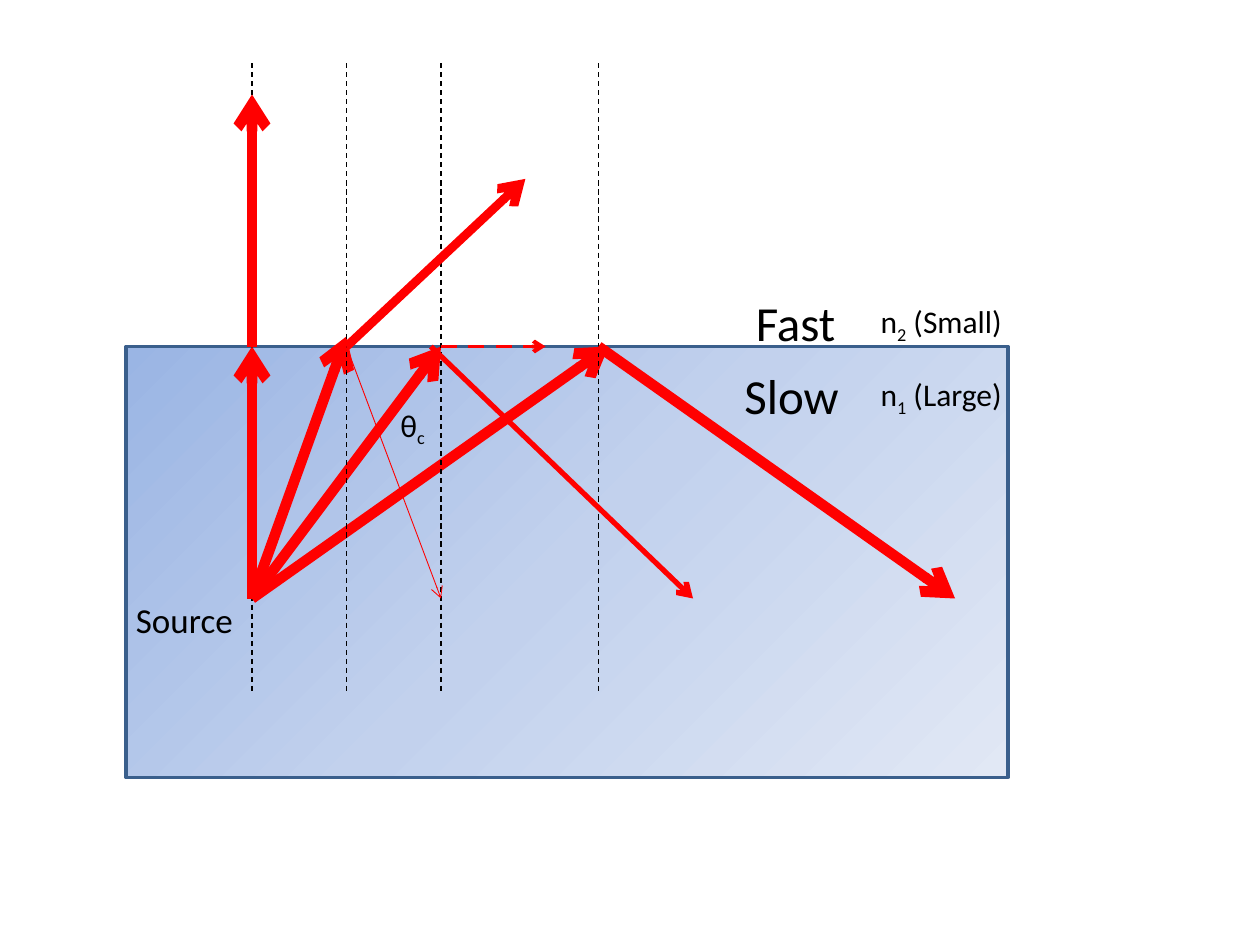
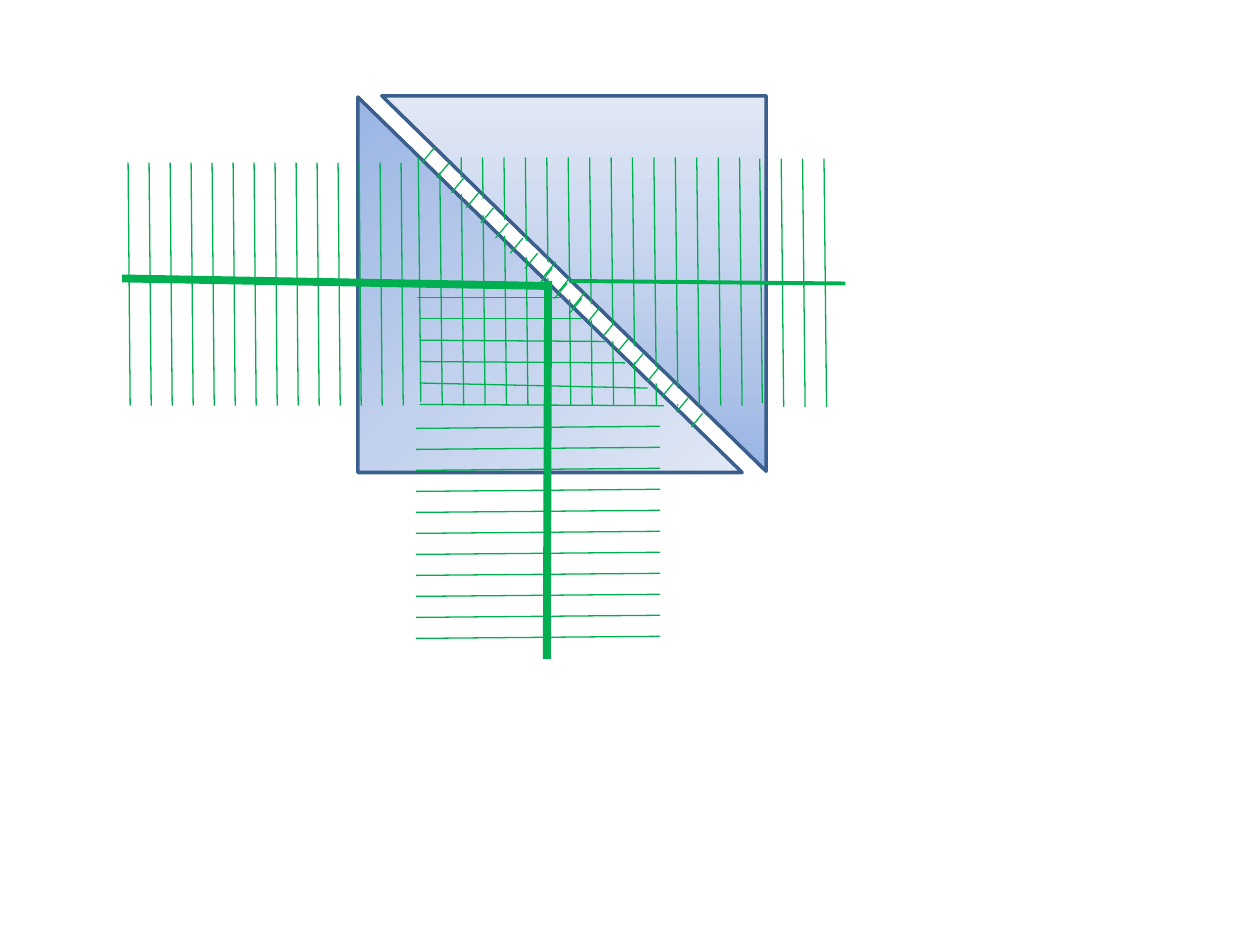
from copy import deepcopy

from lxml.etree import SubElement
from pptx import Presentation
from pptx.dml.color import RGBColor
from pptx.enum.dml import MSO_LINE
from pptx.enum.shapes import MSO_CONNECTOR, MSO_SHAPE
from pptx.enum.text import MSO_AUTO_SIZE
from pptx.oxml.ns import qn
from pptx.util import Emu, Pt

SCALE = 3048
BLACK, WHITE, RED, GREEN, EDGE = "000000", "FFFFFF", "FF0000", "00B050", "3A5F8C"
GLASS = ((0, "9AB5E4"), (0.5, "C2D1ED"), (1, "E1E8F5"))
FONT = "Calibri"


def px(*sizes):
    return [Emu(size * SCALE) for size in sizes]


def tint(code):
    return RGBColor.from_string(code)


def apply(target, values):
    for name, value in values.items():
        setattr(target, name, value)


class Deck:
    def __init__(self, wide, high):
        self.file = Presentation()
        self.file.slide_width, self.file.slide_height = px(wide, high)

    def page(self):
        self.slide = self.file.slides.add_slide(self.file.slide_layouts[6])

    def shape(self, kind, box, turn=0):
        item = self.slide.shapes.add_shape(kind, *px(*box))
        item.shadow.inherit = False
        item.rotation = turn
        return item

    def glass(self, kind, box, angle, turn=0):
        item = self.shape(kind, box, turn)
        fill = item.fill
        fill.gradient()
        fill.gradient_angle = 360 - angle
        first = next(item.element.iter(qn("a:gs")))
        first.addnext(deepcopy(first))
        for stop, (place, code) in zip(fill.gradient_stops, GLASS):
            stop.position = place
            stop.color.rgb = tint(code)
        item.line.color.rgb = tint(EDGE)
        item.line.width = Pt(2)

    def strip(self, box, turn):
        item = self.shape(MSO_SHAPE.RECTANGLE, box, turn)
        item.fill.solid()
        item.fill.fore_color.rgb = tint(WHITE)
        item.line.fill.background()

    def line(self, ends, code, width=0.75, dash=None, arrow=False):
        item = self.slide.shapes.add_connector(MSO_CONNECTOR.STRAIGHT, *px(*ends))
        item.line.color.rgb = tint(code)
        apply(item.line, {"width": Pt(width), "dash_style": dash})
        props = item.element.spPr
        if arrow:
            SubElement(props.find(qn("a:ln")), qn("a:tailEnd"), type="arrow")
        SubElement(props, qn("a:effectLst"))

    def norm(self, left):
        self.line((left, 150, left, 1650), BLACK, dash=MSO_LINE.DASH)

    def ray(self, ends, width=6, dash=None):
        self.line(ends, RED, width, dash, arrow=True)

    def row(self, ends, step, count):
        across, down = step
        for i in range(count):
            shift = (i * across, i * down) * 2
            self.line([a + b for a, b in zip(ends, shift)], GREEN)

    def text(self, box, words, size, wrap=True):
        frame = self.slide.shapes.add_textbox(*px(*box)).text_frame
        apply(frame, {"word_wrap": wrap, "auto_size": MSO_AUTO_SIZE.SHAPE_TO_FIT_TEXT})
        for i, part in enumerate(words.split("_")):
            if not part:
                continue
            run = frame.paragraphs[0].add_run()
            run.text = part
            apply(run.font, {"name": FONT, "size": Pt(size)})
            run.font.color.rgb = tint(BLACK)
            if i % 2:
                run._r.get_or_add_rPr().set("baseline", "-25000")


def draw_rays(deck):
    deck.page()
    deck.glass(MSO_SHAPE.RECTANGLE, (300, 825, 2100, 1026), 45)
    deck.norm(600)
    deck.ray((600, 825, 600, 225))
    for end in ((600, 825), (825, 801), (1050, 825), (1449, 825)):
        deck.ray((600, 1425, *end))
    for left in (825, 1050, 1425):
        deck.norm(left)
    deck.ray((825, 825, 1251, 426), 5)
    deck.ray((825, 825, 1050, 1425), 0.5)
    deck.ray((1050, 825, 1299, 825), 2.25, MSO_LINE.DASH)
    deck.ray((1026, 825, 1650, 1425), 3)
    deck.ray((1425, 825, 2274, 1425))
    deck.text((924, 951, 123, 120), "θ_c_", 18, wrap=False)
    deck.text((1770, 681, 300, 171), "Fast", 28)
    deck.text((1743, 855, 351, 171), "Slow", 28)
    deck.text((2067, 879, 357, 120), "n_1_ (Large)", 18, wrap=False)
    deck.text((2067, 705, 357, 120), "n_2_ (Small)", 18, wrap=False)
    deck.text((294, 1410, 408, 132), "Source", 20)


def draw_prism(deck):
    deck.page()
    deck.glass(MSO_SHAPE.RIGHT_TRIANGLE, (852, 231, 915, 894), 45)
    deck.glass(MSO_SHAPE.RIGHT_TRIANGLE, (909, 228, 915, 894), 90, 180)
    deck.line((1002, 957, 996, 375), GREEN)
    deck.row((1053, 966, 1047, 375), (51, 0), 15)
    deck.strip((1329, 186, 27, 987), 314.2)
    deck.line((291, 663, 1308, 681), GREEN, 4.5)
    deck.line((1302, 1569, 1305, 669), GREEN, 4.5)
    deck.row((305, 387, 310, 966), (50, 0), 14)
    for right, start, left, end in (
        (1581, 966, 999, 963),
        (1542, 924, 999, 912),
        (1488, 864, 999, 861),
        (1440, 813, 999, 810),
        (1386, 759, 999, 759),
        (1341, 708, 993, 708),
    ):
        deck.line((right, start, left, end), GREEN)
    deck.row((1572, 1015, 990, 1020), (0, 50), 11)
    deck.line((2013, 675, 1359, 669), GREEN, 2.25)
    deck.row((1035, 351, 1005, 387), (35, 36), 11)
    deck.row((1323, 624, 1296, 657), (35, 36), 11)
    deck.line((1815, 960, 1809, 378), GREEN)
    deck.row((1866, 969, 1860, 378), (51, 0), 3)


def main():
    deck = Deck(3000, 2250)
    draw_rays(deck)
    draw_prism(deck)
    deck.file.save("out.pptx")


if __name__ == "__main__":
    main()
